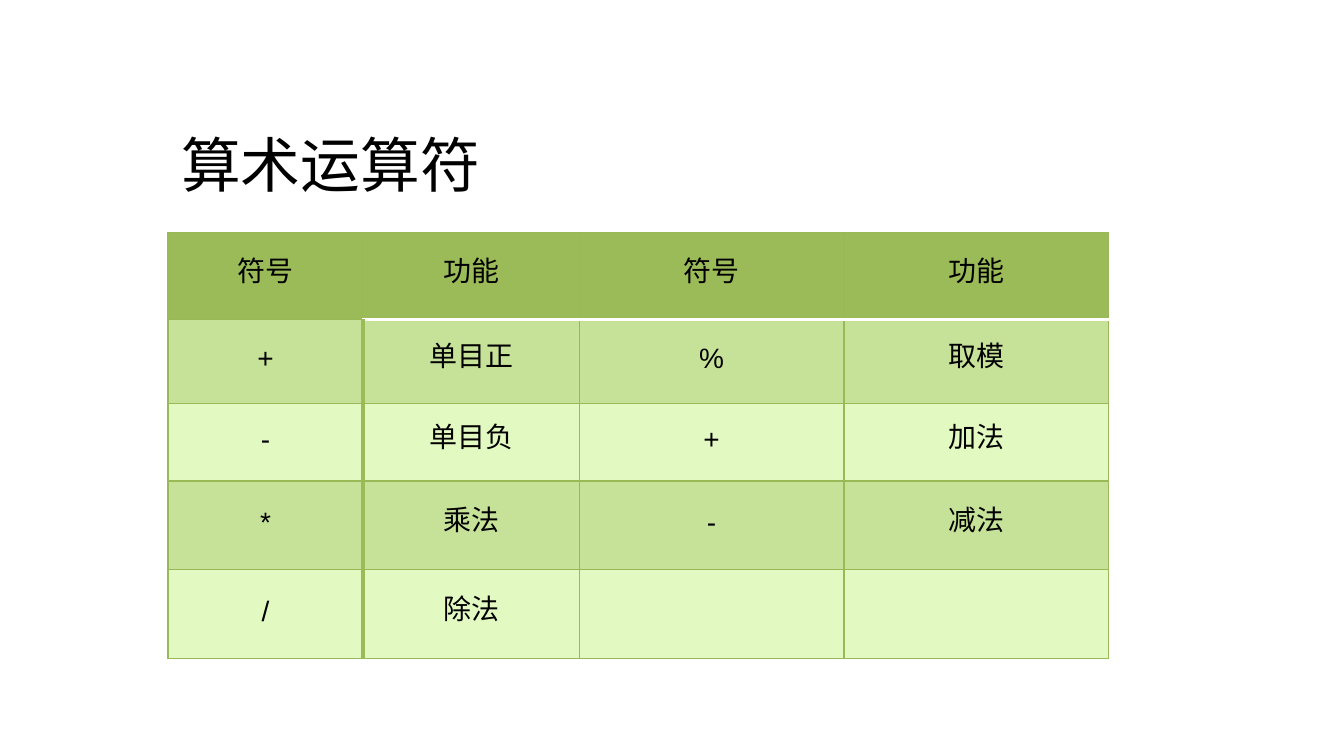
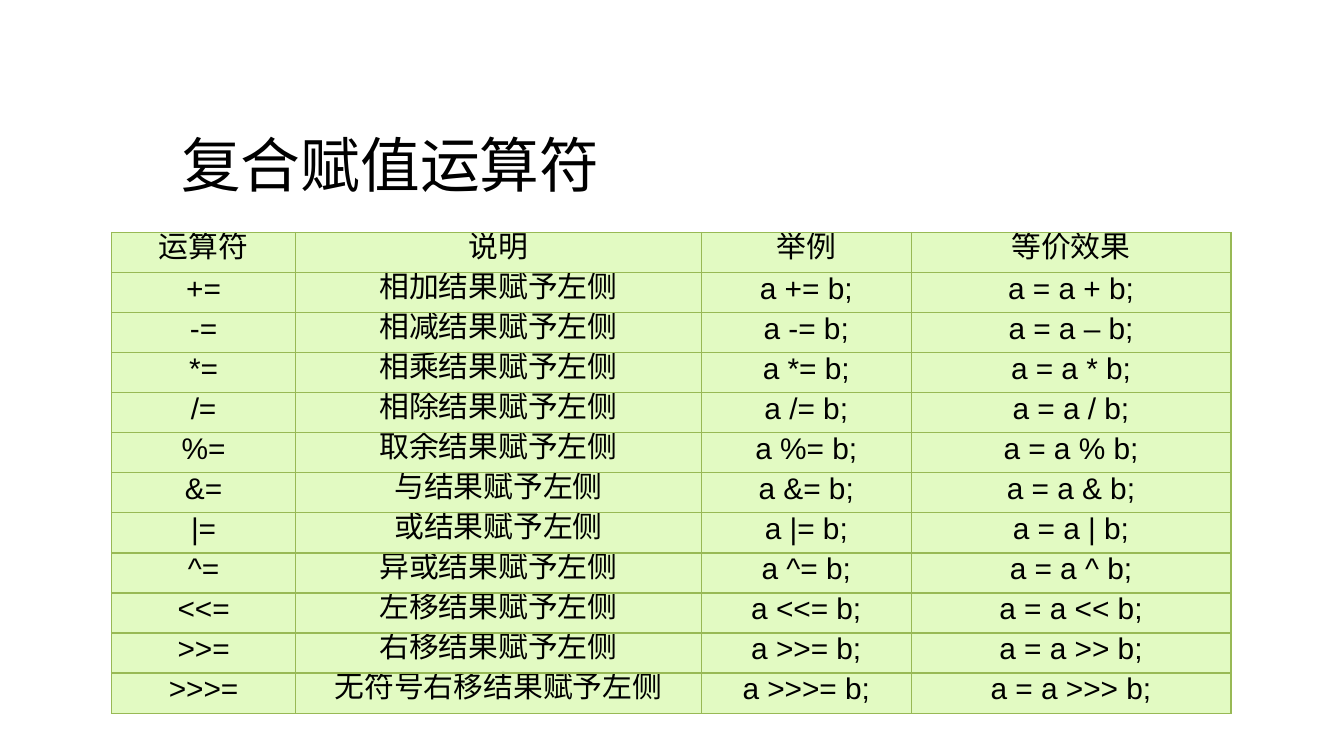
from lxml.etree import SubElement
from pptx import Presentation
from pptx.dml.color import RGBColor
from pptx.enum.text import MSO_ANCHOR as Anchor, PP_ALIGN as Align
from pptx.oxml import parse_xml
from pptx.oxml.ns import nsdecls, qn
from pptx.util import Inches, Pt

COLORS = {
    "text": "000000",
    "header": "9BBB59",
    "band": "C6E198",
    "pale": "E2FAC2",
    "grid": "98B955",
    "white": "FFFFFF",
}

ARITHMETIC = {
    "title": "算术运算符",
    "left": 1.25,
    "columns": [1.45, 1.61, 1.97, 1.97],
    "heights": [0.65, 0.62, 0.58, 0.66, 0.66],
    "size": 15,
    "banded": True,
    "rows": [
        ("符号", "功能", "符号", "功能"),
        ("+", "单目正", "%", "取模"),
        ("-", "单目负", "+", "加法"),
        ("*", "乘法", "-", "减法"),
        ("/", "除法", "", ""),
    ],
}

ASSIGNMENT = {
    "title": "复合赋值运算符",
    "left": 0.83,
    "columns": [1.37, 3.02, 1.56, 2.38],
    "heights": [3.58 / 12] * 12,
    "size": 16,
    "banded": False,
    "rows": [
        ("运算符", "说明", "举例", "等价效果"),
        ("+=", "相加结果赋予左侧", "a += b;", "a = a + b;"),
        ("-=", "相减结果赋予左侧", "a -= b;", "a = a – b;"),
        ("*=", "相乘结果赋予左侧", "a *= b;", "a = a * b;"),
        ("/=", "相除结果赋予左侧", "a /= b;", "a = a / b;"),
        ("%=", "取余结果赋予左侧", "a %= b;", "a = a % b;"),
        ("&=", "与结果赋予左侧", "a &= b;", "a = a & b;"),
        ("|=", "或结果赋予左侧", "a |= b;", "a = a | b;"),
        ("^=", "异或结果赋予左侧", "a ^= b;", "a = a ^ b;"),
        ("<<=", "左移结果赋予左侧", "a <<= b;", "a = a << b;"),
        (">>=", "右移结果赋予左侧", "a >>= b;", "a = a >> b;"),
        (">>>=", "无符号右移结果赋予左侧", "a >>>= b;", "a = a >>> b;"),
    ],
}

TABLE_TOP = 1.73
THIN = ("grid", 0.75)
HEADER_RULE = ("white", 2)
COLUMN_RULE = ("header", 2)


def write_text(frame, text, size, font="Arial", align=Align.LEFT, spacing=None):
    paragraph = frame.paragraphs[0]
    paragraph.alignment = align
    if spacing:
        paragraph.line_spacing = Pt(spacing)
    run = paragraph.add_run()
    run.text = text
    run.font.size = Pt(size)
    run.font.name = font
    run.font.color.rgb = RGBColor.from_string(COLORS["text"])


def add_title(slide, text):
    box = slide.shapes.add_textbox(Inches(1.25), Inches(0.9), Inches(6.08), Inches(0.67))
    frame = box.text_frame
    frame.word_wrap = True
    frame.vertical_anchor = Anchor.TOP
    write_text(frame, text, 32, font="Calibri")


def set_borders(cell, edges):
    properties = cell._tc.get_or_add_tcPr()
    for position, side in enumerate("LRTB"):
        color, width = edges[side]
        line = parse_xml(f'<a:ln{side} {nsdecls("a")} w="{Pt(width)}"/>')
        fill = SubElement(line, qn("a:solidFill"))
        SubElement(fill, qn("a:srgbClr"), val=COLORS[color])
        properties.insert(position, line)


def cell_edges(row, column, banded):
    edges = dict.fromkeys("LRTB", THIN)
    if banded:
        if row > 0 and column < 2:
            edges["R" if column == 0 else "L"] = COLUMN_RULE
        if row < 2 and column > 0:
            edges["B" if row == 0 else "T"] = HEADER_RULE
    return edges


def cell_color(row, banded):
    if not banded:
        return "pale"
    if row == 0:
        return "header"
    return "band" if row % 2 else "pale"


def add_operator_table(slide, content):
    columns, heights, banded = content["columns"], content["heights"], content["banded"]
    table = slide.shapes.add_table(
        len(heights), len(columns), Inches(content["left"]), Inches(TABLE_TOP),
        Inches(sum(columns)), Inches(sum(heights))).table
    table.first_row = False
    table.horz_banding = False
    for column, width in zip(table.columns, columns):
        column.width = Inches(width)
    for row, height in zip(table.rows, heights):
        row.height = Inches(height)
    for row, texts in enumerate(content["rows"]):
        for column, text in enumerate(texts):
            cell = table.cell(row, column)
            cell.vertical_anchor = Anchor.MIDDLE
            cell.margin_left = cell.margin_right = Inches(0.07)
            cell.margin_top = cell.margin_bottom = 0
            cell.fill.solid()
            cell.fill.fore_color.rgb = RGBColor.from_string(COLORS[cell_color(row, banded)])
            set_borders(cell, cell_edges(row, column, banded))
            if text:
                write_text(cell.text_frame, text, content["size"],
                           align=Align.CENTER, spacing=14)


def main():
    presentation = Presentation()
    presentation.slide_width = Inches(10)
    presentation.slide_height = Inches(10 * 9 / 16)
    for content in (ARITHMETIC, ASSIGNMENT):
        slide = presentation.slides.add_slide(presentation.slide_layouts[6])
        add_title(slide, content["title"])
        add_operator_table(slide, content)
    presentation.save("out.pptx")


if __name__ == "__main__":
    main()
